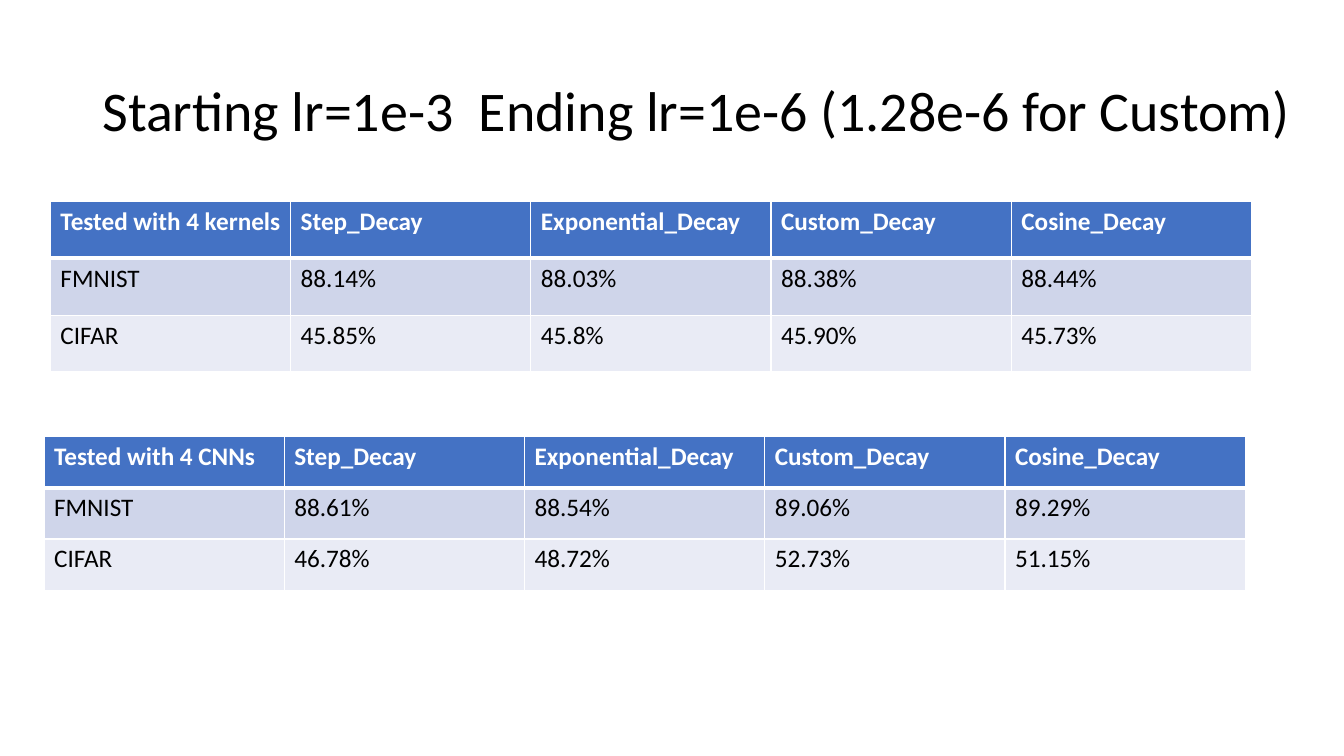
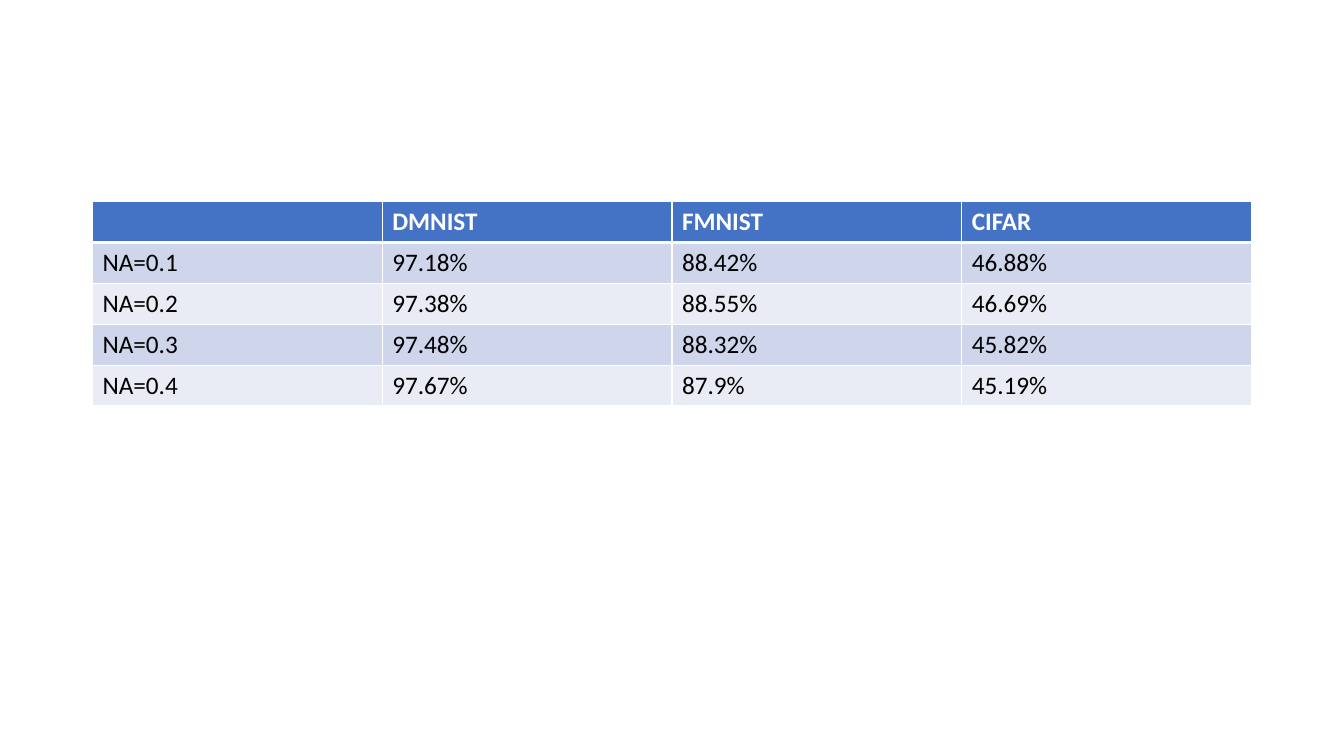
from lxml import etree
from pptx import Presentation
from pptx.dml.color import RGBColor
from pptx.enum.text import MSO_ANCHOR
from pptx.oxml.ns import qn
from pptx.util import Cm, Pt

MIDDLE = MSO_ANCHOR.MIDDLE

FONT = "Calibri"
BLACK, WHITE = "000000", "FFFFFF"
HEADER_FILL = "4472C4"
BAND_FILLS = ("CFD5EA", "E9EBF5")
RULE, HEADER_RULE = 1, 3  # points

DECAYS = ["Step_Decay", "Exponential_Decay", "Custom_Decay", "Cosine_Decay"]

# Table places are in centimetres.
SLIDES = [
    {
        "title": "Starting lr=1e-3  Ending lr=1e-6 (1.28e-6 for Custom)",
        "tables": [
            {
                "left": 1.27, "top": 5.08, "width": 30.27, "row_height": 1.43,
                "rows": [
                    ["Tested with 4 kernels", *DECAYS],
                    ["FMNIST", "88.14%", "88.03%", "88.38%", "88.44%"],
                    ["CIFAR", "45.85%", "45.8%", "45.90%", "45.73%"],
                ],
            },
            {
                "left": 1.11, "top": 11, "width": 30.27, "row_height": 1.29,
                "rows": [
                    ["Tested with 4 CNNs", *DECAYS],
                    ["FMNIST", "88.61%", "88.54%", "89.06%", "89.29%"],
                    ["CIFAR", "46.78%", "48.72%", "52.73%", "51.15%"],
                ],
            },
        ],
    },
    {
        "title": None,
        "tables": [
            {
                "left": 2.33, "top": 5.08, "width": 29.21, "row_height": 1.03,
                "rows": [
                    ["", "DMNIST", "FMNIST", "CIFAR"],
                    ["NA=0.1", "97.18%", "88.42%", "46.88%"],
                    ["NA=0.2", "97.38%", "88.55%", "46.69%"],
                    ["NA=0.3", "97.48%", "88.32%", "45.82%"],
                    ["NA=0.4", "97.67%", "87.9%", "45.19%"],
                ],
            },
        ],
    },
]


def rgb(color):
    return RGBColor.from_string(color)


def style_font(font, size, color, bold=False):
    font.name = FONT
    font.size = Pt(size)
    font.bold = bold
    font.color.rgb = rgb(color)


def add_borders(cell, top, bottom):
    """Draw white cell borders; must run before the fill is set."""
    properties = cell._tc.get_or_add_tcPr()
    for side, points in (("L", RULE), ("R", RULE), ("T", top), ("B", bottom)):
        line = etree.SubElement(properties, qn(f"a:ln{side}"), w=str(Pt(points)))
        fill = etree.SubElement(line, qn("a:solidFill"))
        etree.SubElement(fill, qn("a:srgbClr"), val=WHITE)


def style_cell(cell, text, row):
    is_header = row == 0
    add_borders(
        cell,
        top=HEADER_RULE if row == 1 else RULE,
        bottom=HEADER_RULE if is_header else RULE,
    )
    cell.fill.solid()
    cell.fill.fore_color.rgb = rgb(HEADER_FILL if is_header else BAND_FILLS[(row - 1) % 2])
    cell.text = text
    style_font(cell.text_frame.paragraphs[0].font, 18, WHITE if is_header else BLACK, is_header)


def add_title(slide, text):
    box = slide.shapes.add_textbox(Cm(2.33), Cm(1.01), Cm(30.6), Cm(3.68))
    frame = box.text_frame
    frame.word_wrap = True
    frame.vertical_anchor = MIDDLE
    frame.text = text
    paragraph = frame.paragraphs[0]
    paragraph.line_spacing = 0.9
    style_font(paragraph.font, 40, BLACK)


def add_results(slide, left, top, width, row_height, rows):
    columns = len(rows[0])
    table = slide.shapes.add_table(
        len(rows), columns, Cm(left), Cm(top), Cm(width), Cm(row_height * len(rows))
    ).table
    for column in table.columns:
        column.width = Cm(width / columns)
    for r, values in enumerate(rows):
        table.rows[r].height = Cm(row_height)
        for c, value in enumerate(values):
            style_cell(table.cell(r, c), value, r)


def main():
    deck = Presentation()
    deck.slide_width, deck.slide_height = Cm(33.87), Cm(19.05)
    blank = deck.slide_layouts[6]
    for content in SLIDES:
        slide = deck.slides.add_slide(blank)
        if content["title"]:
            add_title(slide, content["title"])
        for results in content["tables"]:
            add_results(slide, **results)
    deck.save("out.pptx")


if __name__ == "__main__":
    main()
